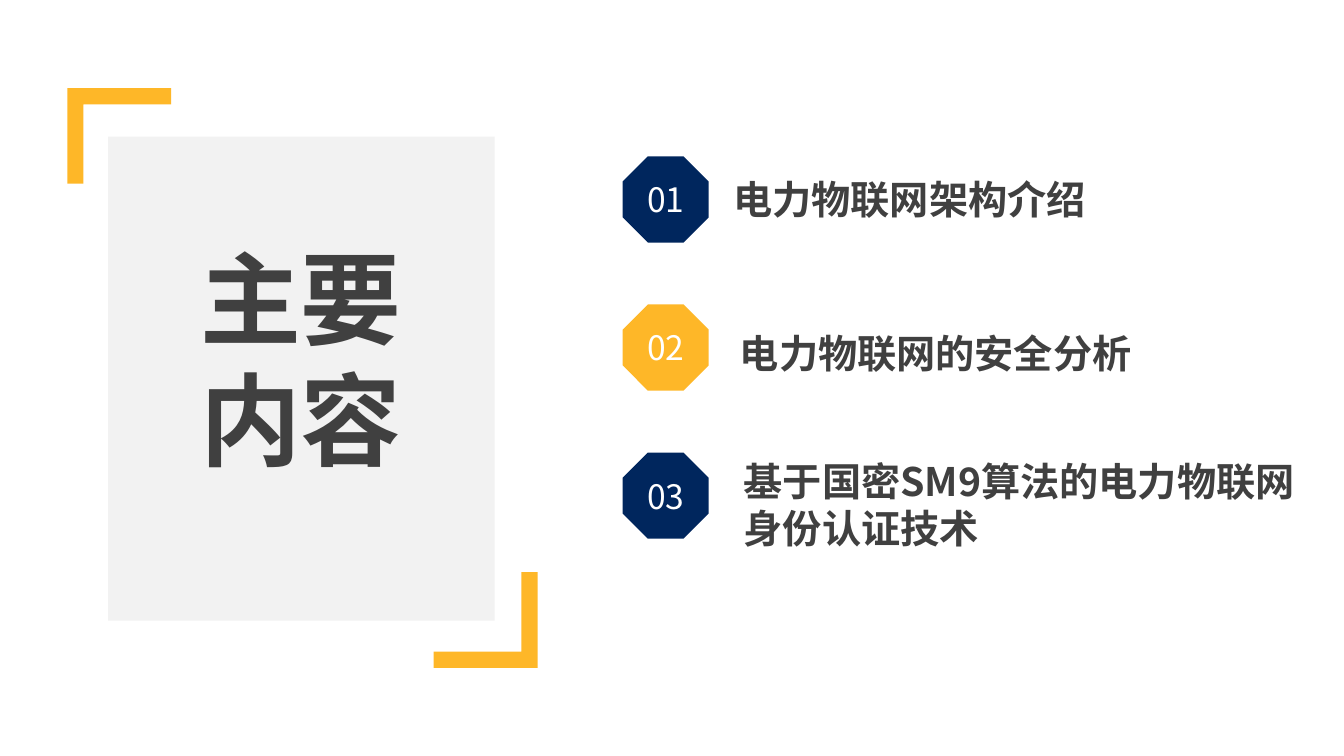
from collections import namedtuple
from dataclasses import dataclass

from lxml.etree import SubElement
from pptx import Presentation
from pptx.dml.color import RGBColor
from pptx.enum.shapes import MSO_SHAPE as Shape
from pptx.enum.text import MSO_ANCHOR as Anchor, MSO_AUTO_SIZE as AutoSize, PP_ALIGN as Align
from pptx.oxml.ns import qn
from pptx.util import Emu, Pt

PX = 9525
Box = namedtuple("Box", "left top width height")


@dataclass(frozen=True)
class Theme:
    font: str = "Noto Sans CJK SC"
    navy: str = "00265D"
    gold: str = "FEB728"
    panel: str = "F2F2F2"
    text: str = "404040"
    white: str = "FFFFFF"
    title_size: int = 72
    item_size: int = 28
    number_size: int = 24


THEME = Theme()


def emu(box):
    return [Emu(length * PX) for length in box]


def inset(box, left, top, width, height):
    return Box(box.left + left, box.top + top, width, height)


def add_filled(slide, kind, box, color):
    shape = slide.shapes.add_shape(kind, *emu(box))
    shape.shadow.inherit = False
    shape.fill.solid()
    shape.fill.fore_color.rgb = RGBColor.from_string(color)
    shape.line.fill.background()
    return shape


def write(shape, text, size, color, align=Align.LEFT, bold=False, anchor=Anchor.TOP):
    frame = shape.text_frame
    frame.text = text
    frame.word_wrap = True
    frame.auto_size = AutoSize.NONE
    frame.vertical_anchor = anchor
    paragraph = frame.paragraphs[0]
    paragraph.alignment = align
    for run in paragraph.runs:
        run.font.size = Pt(size)
        run.font.bold = bold
        run.font.color.rgb = RGBColor.from_string(color)
        run.font.name = THEME.font
        SubElement(run.font._element, qn("a:ea"), typeface=THEME.font)


def add_bracket(slide, box, rotation):
    bracket = add_filled(slide, Shape.CORNER, box, THEME.gold)
    bracket.adjustments[0] = 0.17
    bracket.adjustments[1] = 0.17
    bracket._element.spPr.find(qn("a:xfrm")).set("flipH", "1")
    bracket.rotation = rotation


def add_title_panel(slide, box):
    width, height = 99, 91
    add_bracket(slide, inset(box, box.width - width, box.height - height, width, height), 0)
    add_bracket(slide, Box(box.left, box.top, width, height), 180)
    add_filled(slide, Shape.RECTANGLE, inset(box, 39, 46, 368, 461), THEME.panel)

    title = slide.shapes.title
    slide.shapes._spTree.append(title._element)
    title.left, title.top, title.width, title.height = emu(inset(box, 90, 137, 265, 242))
    write(title, "主要内容", THEME.title_size, THEME.text, Align.CENTER, bold=True)


def add_agenda(slide, box):
    badge, pitch = 82, 141
    items = [
        ("电力物联网架构介绍", THEME.navy, Box(96, 13, 558, 55), Align.LEFT),
        ("电力物联网的安全分析", THEME.gold, Box(-54, 19, 548, 55), Align.RIGHT),
        ("基于国密SM9算法的电力物联网身份认证技术", THEME.navy, Box(106, 0, 548, 100), Align.LEFT),
    ]
    for index, (label, color, label_box, align) in enumerate(items):
        row = inset(box, 0, index * pitch, box.width, badge)
        octagon = add_filled(slide, Shape.OCTAGON, Box(row.left, row.top, badge, badge), color)
        write(octagon, f"{index + 1:02}", THEME.number_size, THEME.white,
              Align.CENTER, anchor=Anchor.MIDDLE)
        text_box = slide.shapes.add_textbox(*emu(inset(row, *label_box)))
        write(text_box, label, THEME.item_size, THEME.text, align, bold=True)


def main():
    presentation = Presentation()
    presentation.slide_width = Emu(1280 * PX)
    presentation.slide_height = Emu(720 * PX)
    slide = presentation.slides.add_slide(presentation.slide_layouts[5])
    add_title_panel(slide, Box(64, 84, 448, 552))
    add_agenda(slide, Box(593, 149, 654, 382))
    presentation.save("out.pptx")


if __name__ == "__main__":
    main()
